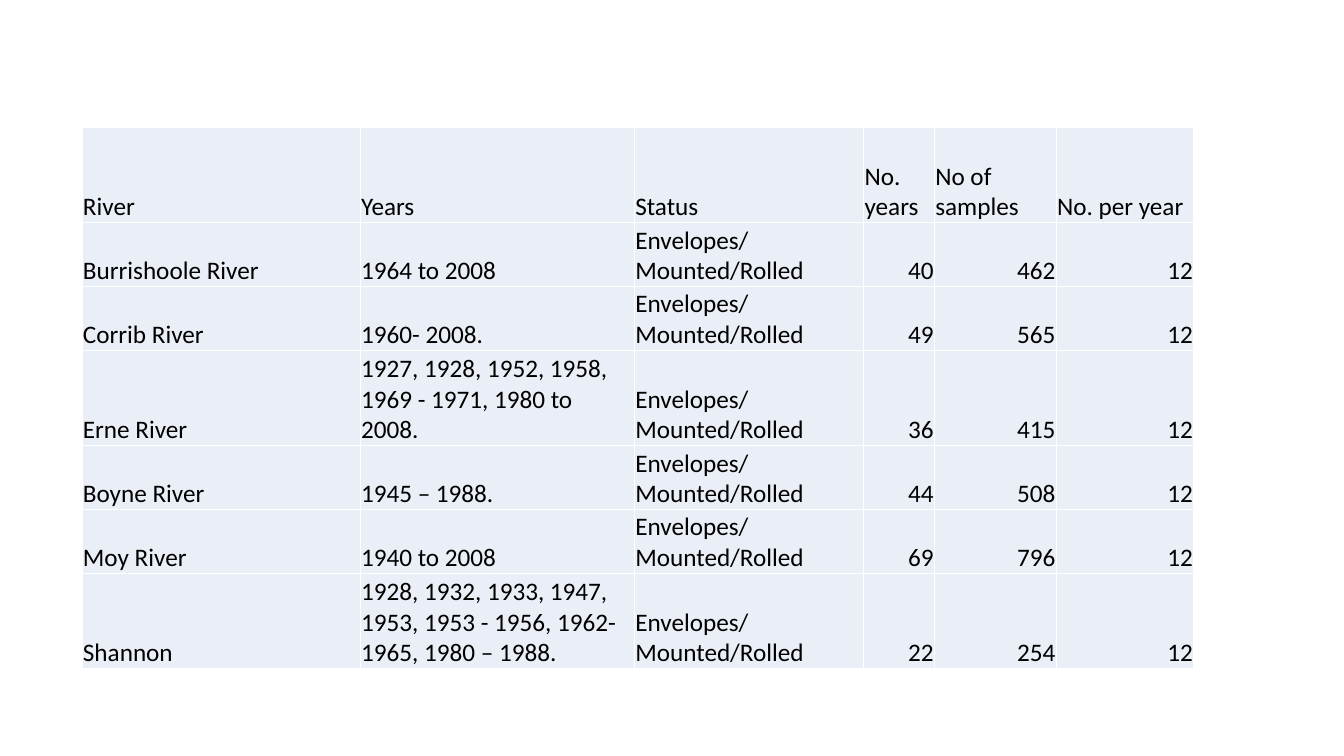
from dataclasses import dataclass

from lxml.etree import SubElement as Sub
from pptx import Presentation as Deck
from pptx.dml.color import RGBColor as Rgb
from pptx.enum.text import MSO_ANCHOR as Anchor, PP_ALIGN as Align
from pptx.oxml.ns import qn
from pptx.util import Cm, Pt


@dataclass(frozen=True)
class Theme:
    font: str = "Calibri"
    size: int = 18
    ink: str = "000000"
    fill: str = "EAEFF7"
    rule: str = "FFFFFF"
    rule_width: int = 1


THEME = Theme()
STATUS = "Envelopes/Mounted/Rolled"
PER_YEAR = 12

HEADS = ("River", "Years", "Status", "No. years", "No of samples", "No. per year")
# River, years, number of years, number of samples
RIVERS = (
    ("Burrishoole River", "1964 to 2008", 40, 462),
    ("Corrib River", "1960- 2008.", 49, 565),
    ("Erne River", "1927, 1928, 1952, 1958, 1969 - 1971, 1980 to 2008.", 36, 415),
    ("Boyne River", "1945 – 1988.", 44, 508),
    ("Moy River", "1940 to 2008", 69, 796),
    ("Shannon", "1928, 1932, 1933, 1947, 1953, 1953 - 1956, 1962- 1965, 1980 – 1988.", 22, 254),
)

# Column and row sizes in centimetres
WIDTHS = (7.01, 6.91, 5.78, 1.78, 3.07, 3.46)
TALL, LOW = 2.4, 1.61
HEIGHTS = (TALL, LOW, LOW, TALL, LOW, LOW, TALL)


def add_rules(cell):
    """Draw the four borders of a cell; they must come before its fill."""
    props = cell._tc.get_or_add_tcPr()
    for side in ("lnL", "lnR", "lnT", "lnB"):
        line = Sub(props, qn(f"a:{side}"), w=str(Pt(THEME.rule_width)))
        paint = Sub(line, qn("a:solidFill"))
        Sub(paint, qn("a:srgbClr"), val=THEME.rule)


def fill_cell(cell, value):
    """Write one value: numbers to the right, words to the left."""
    add_rules(cell)
    cell.fill.solid()
    cell.fill.fore_color.rgb = Rgb.from_string(THEME.fill)
    cell.vertical_anchor = Anchor.BOTTOM
    cell.margin_left = cell.margin_right = cell.margin_top = Cm(0.02)
    cell.margin_bottom = 0

    cell.text = str(value)
    para = cell.text_frame.paragraphs[0]
    para.alignment = Align.RIGHT if isinstance(value, int) else Align.LEFT
    font = para.font
    font.name, font.size, font.bold = THEME.font, Pt(THEME.size), False
    font.color.rgb = Rgb.from_string(THEME.ink)


def add_rivers(slide, left, top):
    """Place the table of river samples with its corner at left, top."""
    rows = [HEADS]
    for river, years, count, total in RIVERS:
        rows.append((river, years, STATUS, count, total, PER_YEAR))

    frame = slide.shapes.add_table(
        len(rows), len(HEADS), left, top, Cm(sum(WIDTHS)), Cm(sum(HEIGHTS)))
    table = frame.table
    table.first_row = table.horz_banding = False
    for column, width in zip(table.columns, WIDTHS):
        column.width = Cm(width)
    for row, height, values in zip(table.rows, HEIGHTS, rows):
        row.height = Cm(height)
        for cell, value in zip(row.cells, values):
            fill_cell(cell, value)


def main():
    deck = Deck()
    deck.slide_width, deck.slide_height = Cm(33.87), Cm(19.05)
    slide = deck.slides.add_slide(deck.slide_layouts[6])
    add_rivers(slide, Cm(2.07), Cm(3.21))
    deck.save("out.pptx")


if __name__ == "__main__":
    main()
